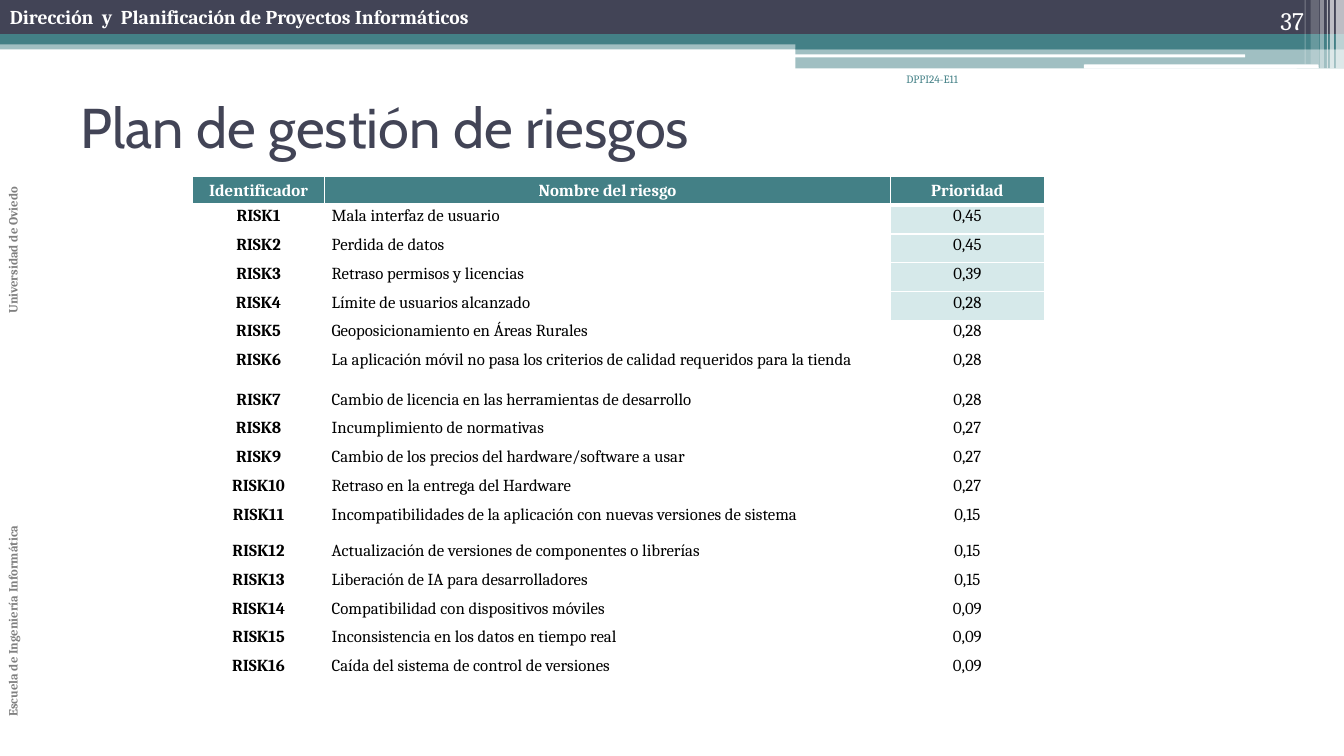
import pptx
import pptx.util
import pptx.oxml
import pptx.oxml.ns
import pptx.dml.color
import pptx.enum.shapes
import pptx.enum.text
import lxml.etree

Inches, Pt = pptx.util.Inches, pptx.util.Pt
SHAPE = pptx.enum.shapes.MSO_SHAPE
ALIGN = pptx.enum.text.PP_ALIGN
ANCHOR = pptx.enum.text.MSO_ANCHOR
qn = pptx.oxml.ns.qn

COLORS = {"navy": "424456", "teal": "438086", "pale": "D6E9EA",
          "white": "FFFFFF", "gray": "808080", "black": "000000"}

# Content
HEADER = ("Identificador", "Nombre del riesgo", "Prioridad")
RISKS = [
    ("Mala interfaz de usuario", "0,45"),
    ("Perdida de datos", "0,45"),
    ("Retraso permisos y licencias", "0,39"),
    ("Límite de usuarios alcanzado", "0,28"),
    ("Geoposicionamiento en Áreas Rurales", "0,28"),
    ("La aplicación móvil no pasa los criterios de calidad requeridos para la tienda", "0,28"),
    ("Cambio de licencia en las herramientas de desarrollo", "0,28"),
    ("Incumplimiento de normativas", "0,27"),
    ("Cambio de los precios del hardware/software a usar", "0,27"),
    ("Retraso en la entrega del Hardware", "0,27"),
    ("Incompatibilidades de la aplicación con nuevas versiones de sistema", "0,15"),
    ("Actualización de versiones de componentes o librerías", "0,15"),
    ("Liberación de IA para desarrolladores", "0,15"),
    ("Compatibilidad con dispositivos móviles", "0,09"),
    ("Inconsistencia en los datos en tiempo real", "0,09"),
    ("Caída del sistema de control de versiones", "0,09"),
]
HIGHLIGHTED = 4
COLUMN_WIDTHS = (1.31, 5.61, 1.53)
TABLE_LEFT, TABLE_TOP, TABLE_HEIGHT = 1.91, 1.75, 5.04
TALL_ROWS = {6: 0.39, 11: 0.36}

# Banner bands: left, top, width, height, colour, opacity %, shape
BANDS = [
    (0, 0.4, 13.33, 0.09, "teal", 50, SHAPE.RECTANGLE),
    (0, 0, 13.33, 0.34, "navy", 100, SHAPE.RECTANGLE),
    (0, 0.34, 13.33, 0.1, "teal", 100, SHAPE.RECTANGLE),
    (7.89, 0.39, 5.44, 0.1, "teal", 100, SHAPE.RECTANGLE),
    (7.89, 0.48, 5.44, 0.2, "teal", 50, SHAPE.RECTANGLE),
    (7.88, 0.54, 4.47, 0.03, "white", 100, SHAPE.ROUNDED_RECTANGLE),
    (10.75, 0.64, 2.33, 0.04, "white", 100, SHAPE.ROUNDED_RECTANGLE),
]
# White stripes at the right end: left, width, height, opacity %
STRIPES = [(13.25, 0.08, 0.68, 65), (13.19, 0.04, 0.68, 65), (13.16, 0.01, 0.68, 60),
           (13.09, 0.04, 0.68, 40), (13, 0.08, 0.64, 20), (12.94, 0.01, 0.64, 30)]

prs = pptx.Presentation()
prs.slide_width, prs.slide_height = Inches(13.33), Inches(7.5)
slide = prs.slides.add_slide(prs.slide_layouts[6])


def rgb(name):
    return pptx.dml.color.RGBColor.from_string(COLORS[name])


def add_band(left, top, width, height, color, opacity, kind):
    band = slide.shapes.add_shape(kind, Inches(left), Inches(top), Inches(width), Inches(height))
    band.shadow.inherit = False
    band.line.fill.background()
    band.fill.solid()
    band.fill.fore_color.rgb = rgb(color)
    if opacity < 100:
        hue = band.fill._xPr.find(".//" + qn("a:srgbClr"))
        lxml.etree.SubElement(hue, qn("a:alpha")).set("val", str(opacity * 1000))


def write(paragraph, text, size, color, bold=False, font="Cambria", align=ALIGN.LEFT):
    paragraph.alignment = align
    run = paragraph.add_run()
    run.text = text
    run.font.name, run.font.size, run.font.bold = font, Pt(size), bold
    run.font.color.rgb = rgb(color)


def add_text(left, top, width, height, text, size, color, anchor=ANCHOR.TOP, **style):
    frame = slide.shapes.add_textbox(Inches(left), Inches(top),
                                     Inches(width), Inches(height)).text_frame
    frame.word_wrap = True
    frame.vertical_anchor = anchor
    write(frame.paragraphs[0], text, size, color, **style)
    return frame


def fill_cell(cell, text, color, bold, align, background, anchor, top_line, bottom_line):
    cell.margin_left = cell.margin_right = Inches(0.07)
    cell.margin_top = cell.margin_bottom = 0
    cell.vertical_anchor = anchor
    props = cell._tc.get_or_add_tcPr()
    for side, points in (("L", 1), ("R", 1), ("T", top_line), ("B", bottom_line)):
        border = lxml.etree.SubElement(props, qn("a:ln" + side), w=str(Pt(points)))
        paint = lxml.etree.SubElement(border, qn("a:solidFill"))
        lxml.etree.SubElement(paint, qn("a:srgbClr"), val=COLORS["white"])
    cell.fill.solid()
    cell.fill.fore_color.rgb = rgb(background)
    paragraph = cell.text_frame.paragraphs[0]
    paragraph.line_spacing, paragraph.space_after = 1.07, Pt(8)
    write(paragraph, text, 12, color, bold, align=align)


# Banner
for band in BANDS:
    add_band(*band)
for left, width, height, opacity in STRIPES:
    add_band(left, 0, width, height, "white", opacity, SHAPE.RECTANGLE)

# Course name, side label, code and page number
add_text(0, 0, 8.24, 0.34, "Dirección  y  Planificación de Proyectos Informáticos", 14, "white",
         bold=True)
side_label = add_text(0, 0.54, 0.35, 6.67,
                      "Escuela de Ingeniería Informática\tUniversidad de Oviedo",
                      9, "gray", bold=True)
side_label._txBody.bodyPr.set("vert", "vert270")
tabs = lxml.etree.SubElement(side_label.paragraphs[0]._p.get_or_add_pPr(), qn("a:tabLst"))
lxml.etree.SubElement(tabs, qn("a:tab"), pos=str(Inches(4)), algn="l")
add_text(7.67, 0.67, 1.93, 0.5, "DPPI24-E11", 8, "teal", align=ALIGN.RIGHT)
add_text(11.92, 0, 1.11, 0.4, "37", 18, "white", ANCHOR.BOTTOM, align=ALIGN.RIGHT)

# Risk table
row_count = len(RISKS) + 1
row_height = (TABLE_HEIGHT - sum(TALL_ROWS.values())) / (row_count - len(TALL_ROWS))
risk_table = slide.shapes.add_table(
    row_count, len(HEADER), Inches(TABLE_LEFT), Inches(TABLE_TOP),
    Inches(sum(COLUMN_WIDTHS)), Inches(TABLE_HEIGHT)).table
risk_table.horz_banding = False
for column, width in zip(risk_table.columns, COLUMN_WIDTHS):
    column.width = Inches(width)
for index, row in enumerate(risk_table.rows):
    row.height = Inches(TALL_ROWS.get(index, row_height))

for col, title in enumerate(HEADER):
    fill_cell(risk_table.cell(0, col), title, "white", True, ALIGN.CENTER, "teal",
              ANCHOR.MIDDLE, 1, 3)
for number, (risk, priority) in enumerate(RISKS, start=1):
    for col, text in enumerate((f"RISK{number}", risk, priority)):
        background = "pale" if col == 2 and number <= HIGHLIGHTED else "white"
        fill_cell(risk_table.cell(number, col), text, "black", col == 0,
                  ALIGN.LEFT if col == 1 else ALIGN.CENTER, background,
                  ANCHOR.TOP, 3 if number == 1 else 1, 1)

# Title
add_text(0.7, 0.67, 12, 1.17, "Plan de gestión de riesgos", 40, "navy", ANCHOR.MIDDLE,
         font="Cabin")

prs.save("out.pptx")
